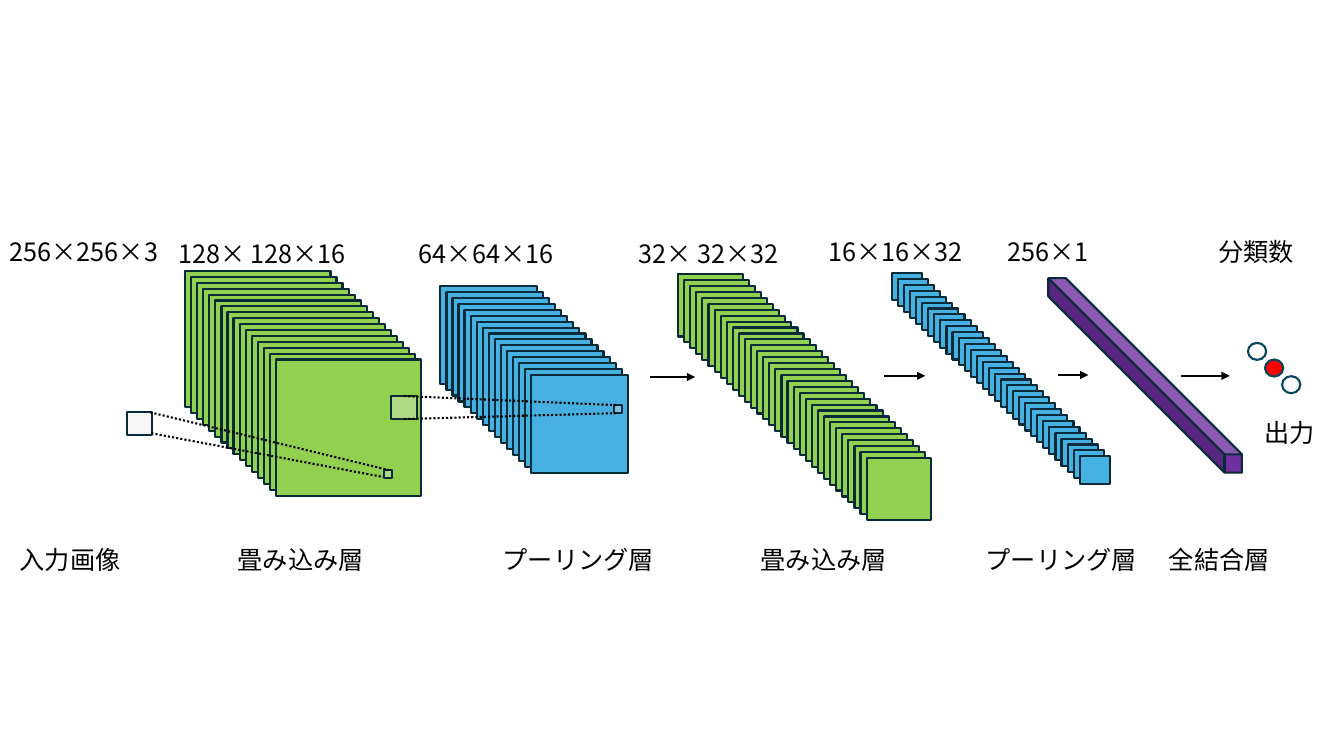
import pptx
import pptx.dml.color
import pptx.enum.dml
import pptx.enum.shapes
import pptx.oxml.ns
import pptx.util
from lxml import etree
from pptx.util import Cm

FONT = "Noto Sans CJK JP"
COLORS = {
    "conv": "92D050",
    "pool": "46B1E1",
    "dense": "7030A0",
    "window": "E8E8E8",
    "edge": "092A39",
    "node_edge": "07455D",
    "node": "FFFFFF",
    "chosen": "FF0000",
    "ink": "000000",
}
SHAPES = pptx.enum.shapes.MSO_SHAPE


def rgb(key):
    return pptx.dml.color.RGBColor.from_string(COLORS[key])


def add_child(parent, tag, **attributes):
    return etree.SubElement(parent, pptx.oxml.ns.qn(tag), attributes)


def add_block(slide, preset, box, fill, edge="edge"):
    block = slide.shapes.add_shape(preset, *map(Cm, box))
    block.shadow.inherit = False
    block.fill.solid()
    block.fill.fore_color.rgb = rgb(fill)
    block.line.color.rgb = rgb(edge)
    block.line.width = pptx.util.Pt(1.5)
    return block


def add_line(slide, start, end):
    line = slide.shapes.add_connector(
        pptx.enum.shapes.MSO_CONNECTOR.STRAIGHT, *map(Cm, (*start, *end)))
    line.line.color.rgb = rgb("ink")
    line.line.width = pptx.util.Pt(1.5)
    add_child(line.element.spPr, "a:effectLst")
    return line


def add_arrow(slide, left, top, length):
    arrow = add_line(slide, (left, top), (left + length, top))
    add_child(arrow.line._get_or_add_ln(), "a:tailEnd", type="triangle")


def add_label(slide, text, left, top, width):
    label = slide.shapes.add_textbox(Cm(left), Cm(top), Cm(width), Cm(1))
    label.text_frame.word_wrap = True
    paragraph = label.text_frame.paragraphs[0]
    paragraph.text = text
    paragraph.font.size = pptx.util.Pt(18)
    paragraph.font.color.rgb = rgb("ink")
    paragraph.font.name = FONT
    add_child(paragraph.font._element, "a:ea", typeface=FONT)


def add_feature_maps(slide, box, map_size, count, fill):
    """Spread equal sheets along the diagonal of the box, front one last."""
    left, top, width, height = box
    step_x = (width - map_size[0]) / (count - 1)
    step_y = (height - map_size[1]) / (count - 1)
    for i in range(count):
        add_block(slide, SHAPES.RECTANGLE,
                  (left + i * step_x, top + i * step_y, *map_size), fill)


def add_projection(slide, window, unit, rays):
    """Join a window to a unit; ray ends are fractions of each box."""
    for box in (window, unit):
        pane = add_block(slide, SHAPES.RECTANGLE, box, "window")
        fill_color = pane.element.spPr.find(".//" + pptx.oxml.ns.qn("a:srgbClr"))
        add_child(fill_color, "a:alpha", val="34000")
    for ray in rays:
        start, end = (
            (left + width * fx, top + height * fy)
            for (left, top, width, height), (fx, fy) in zip((window, unit), ray))
        add_line(slide, start, end).line.dash_style = (
            pptx.enum.dml.MSO_LINE.ROUND_DOT)


def add_dense_layer(slide, box):
    bar = add_block(slide, SHAPES.CUBE, box, "dense")
    bar.adjustments[0] = 0.91
    bar.element.spPr.xfrm.set("flipH", "1")


def add_output_nodes(slide, box):
    left, top, width, height = box
    node_width, node_height = 0.46, 0.43
    for i, fill in enumerate(("node", "chosen", "node")):
        add_block(slide, SHAPES.OVAL,
                  (left + i * (width - node_width) / 2,
                   top + i * (height - node_height) / 2,
                   node_width, node_height), fill, "node_edge")


def build_network(slide):
    # Feature maps of the four convolution and pooling layers
    for box, map_size, count, fill in (
        ((11.1, 7.21, 4.72, 4.7), (2.44, 2.46), 16, "pool"),
        ((4.67, 6.83, 5.94, 5.66), (3.66, 3.43), 16, "conv"),
        ((17.09, 6.91, 6.38, 6.2), (1.63, 1.57), 32, "conv"),
        ((22.48, 6.88, 5.49, 5.31), (0.76, 0.69), 32, "pool"),
    ):
        add_feature_maps(slide, box, map_size, count, fill)

    # Fully connected layer and output
    add_dense_layer(slide, (26.42, 7.01, 4.88, 4.9))
    add_output_nodes(slide, (31.45, 8.64, 1.32, 1.27))

    # Windows projected onto the next layer
    add_projection(slide, (3.2, 10.39, 0.64, 0.58), (9.68, 11.84, 0.2, 0.2),
                   (((0.92, 0), (0.5, 0)), ((0.96, 0.91), (-0.1, 0.9))))
    add_projection(slide, (9.86, 9.98, 0.64, 0.58), (15.47, 10.21, 0.2, 0.2),
                   (((0.5, 0), (0.5, 0)), ((0.5, 1), (0.5, 1))))

    # Flow arrows
    for left, top, length in ((16.38, 9.5, 1.14), (22.28, 9.47, 1.04),
                              (26.67, 9.45, 0.76), (29.77, 9.47, 1.22)):
        add_arrow(slide, left, top, length)


def build_labels(slide):
    # Data sizes above the layers
    for text, left, top, width in (
        ("256×256×3", 0, 5.84, 4.47),
        ("128× 128×16", 4.24, 5.89, 5.03),
        ("64×64×16", 10.31, 5.87, 4.11),
        ("32× 32×32", 15.85, 5.87, 4.27),
        ("16×16×32", 20.62, 5.84, 4.04),
        ("256×1", 25.15, 5.84, 3.02),
        ("分類数", 30.45, 5.84, 2.54),
        ("出力", 31.62, 10.39, 1.85),
    ):
        add_label(slide, text, left, top, width)

    # Layer names below
    for text, left, width in (
        ("入力画像", 0.25, 3.35),
        ("畳み込み層", 5.74, 4.27),
        ("プーリング層", 12.42, 4.7),
        ("畳み込み層", 18.92, 4.17),
        ("プーリング層", 24.59, 4.65),
        ("全結合層", 29.21, 3.12),
    ):
        add_label(slide, text, left, 13.59, width)


def main():
    deck = pptx.Presentation()
    deck.slide_width, deck.slide_height = Cm(33.87), Cm(19.05)
    slide = deck.slides.add_slide(deck.slide_layouts[6])
    build_network(slide)
    build_labels(slide)
    deck.save("out.pptx")


if __name__ == "__main__":
    main()
